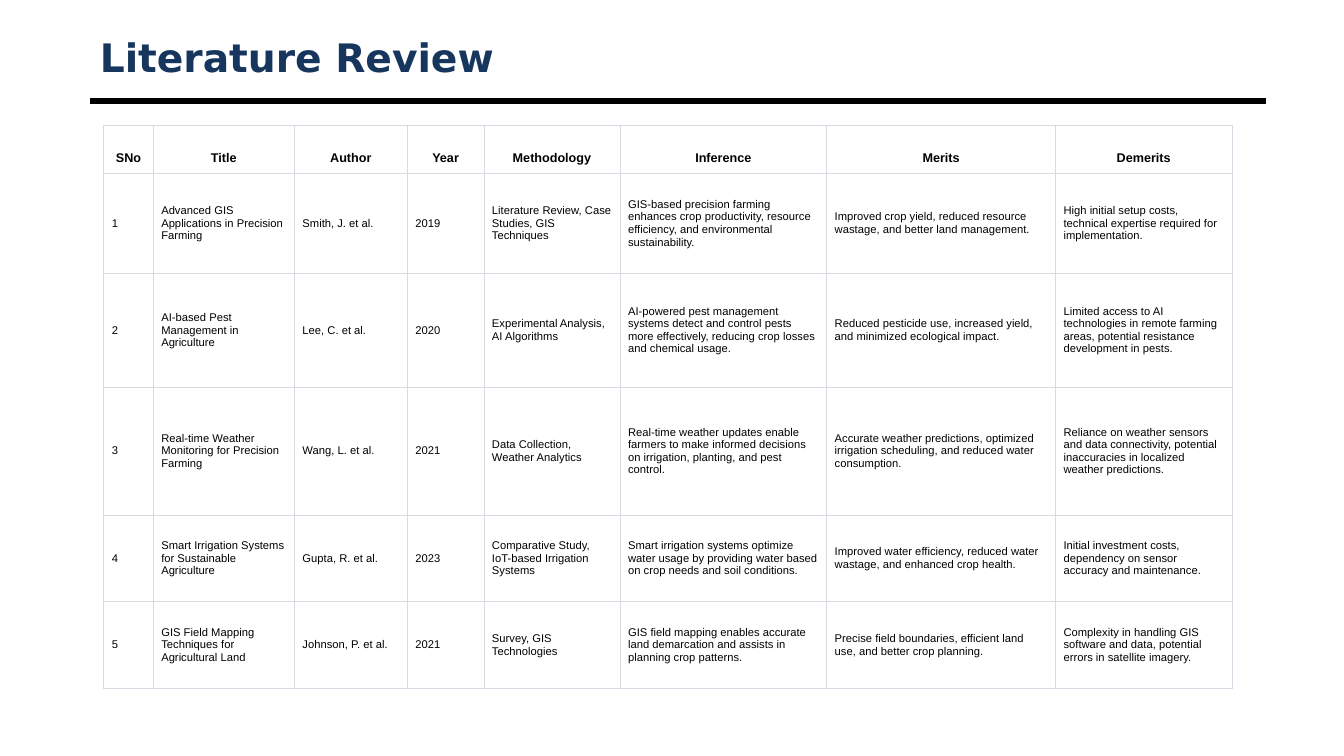
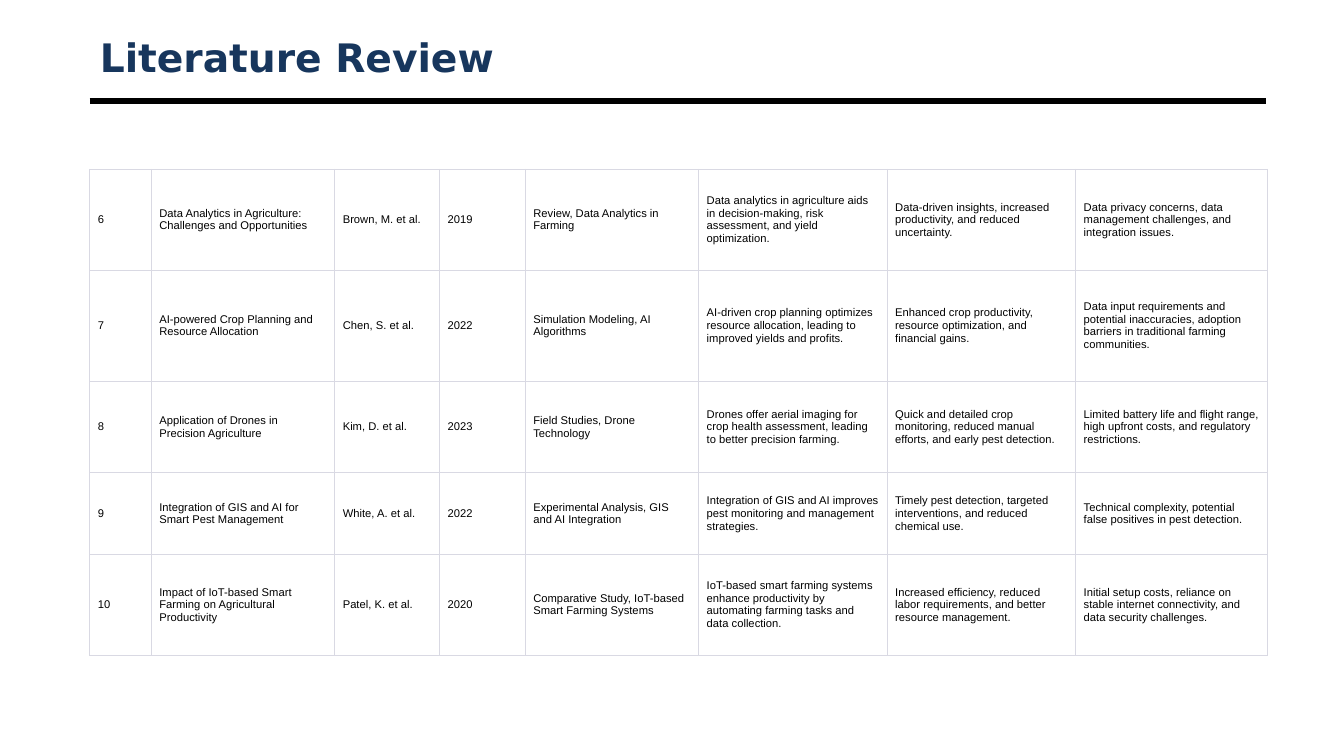
import dataclasses

import lxml.etree
import pptx
import pptx.dml.color
import pptx.enum.shapes
import pptx.enum.text
import pptx.oxml.ns
import pptx.util

Inches = pptx.util.Inches
Pt = pptx.util.Pt


def color(value):
    return pptx.dml.color.RGBColor.from_string(value)


@dataclasses.dataclass(frozen=True)
class Theme:
    title_font: str = "DejaVu Sans"
    body_font: str = "Arial"
    title_color: str = "17365D"
    ink: str = "000000"
    paper: str = "FFFFFF"
    border: str = "D9D9E3"
    title_size: float = 28
    header_size: float = 9
    body_size: float = 8
    rule_width: float = 4.5
    border_width: float = 0.6
    cell_inset: float = 0.08


THEME = Theme()
TITLE_BOX = (0.89, 0.3, 11.67, 0.53)
RULE_TOP = 1.0

HEADERS = ("SNo", "Title", "Author", "Year", "Methodology", "Inference", "Merits", "Demerits")

# Studies: title, author, year, methodology, inference, merits, demerits
STUDIES = [
    ("Advanced GIS Applications in Precision Farming", "Smith, J. et al.", "2019",
     "Literature Review, Case Studies, GIS Techniques",
     "GIS-based precision farming enhances crop productivity, resource efficiency, "
     "and environmental sustainability.",
     "Improved crop yield, reduced resource wastage, and better land management.",
     "High initial setup costs, technical expertise required for implementation."),
    ("AI-based Pest Management in Agriculture", "Lee, C. et al.", "2020",
     "Experimental Analysis, AI Algorithms",
     "AI-powered pest management systems detect and control pests more effectively, "
     "reducing crop losses and chemical usage.",
     "Reduced pesticide use, increased yield, and minimized ecological impact.",
     "Limited access to AI technologies in remote farming areas, "
     "potential resistance development in pests."),
    ("Real-time Weather Monitoring for Precision Farming", "Wang, L. et al.", "2021",
     "Data Collection, Weather Analytics",
     "Real-time weather updates enable farmers to make informed decisions on irrigation, "
     "planting, and pest control.",
     "Accurate weather predictions, optimized irrigation scheduling, "
     "and reduced water consumption.",
     "Reliance on weather sensors and data connectivity, "
     "potential inaccuracies in localized weather predictions."),
    ("Smart Irrigation Systems for Sustainable Agriculture", "Gupta, R. et al.", "2023",
     "Comparative Study, IoT-based Irrigation Systems",
     "Smart irrigation systems optimize water usage by providing water "
     "based on crop needs and soil conditions.",
     "Improved water efficiency, reduced water wastage, and enhanced crop health.",
     "Initial investment costs, dependency on sensor accuracy and maintenance."),
    ("GIS Field Mapping Techniques for Agricultural Land", "Johnson, P. et al.", "2021",
     "Survey, GIS Technologies",
     "GIS field mapping enables accurate land demarcation and assists in planning crop patterns.",
     "Precise field boundaries, efficient land use, and better crop planning.",
     "Complexity in handling GIS software and data, potential errors in satellite imagery."),
    ("Data Analytics in Agriculture: Challenges and Opportunities", "Brown, M. et al.", "2019",
     "Review, Data Analytics in Farming",
     "Data analytics in agriculture aids in decision-making, risk assessment, "
     "and yield optimization.",
     "Data-driven insights, increased productivity, and reduced uncertainty.",
     "Data privacy concerns, data management challenges, and integration issues."),
    ("AI-powered Crop Planning and Resource Allocation", "Chen, S. et al.", "2022",
     "Simulation Modeling, AI Algorithms",
     "AI-driven crop planning optimizes resource allocation, "
     "leading to improved yields and profits.",
     "Enhanced crop productivity, resource optimization, and financial gains.",
     "Data input requirements and potential inaccuracies, "
     "adoption barriers in traditional farming communities."),
    ("Application of Drones in Precision Agriculture", "Kim, D. et al.", "2023",
     "Field Studies, Drone Technology",
     "Drones offer aerial imaging for crop health assessment, "
     "leading to better precision farming.",
     "Quick and detailed crop monitoring, reduced manual efforts, and early pest detection.",
     "Limited battery life and flight range, high upfront costs, and regulatory restrictions."),
    ("Integration of GIS and AI for Smart Pest Management", "White, A. et al.", "2022",
     "Experimental Analysis, GIS and AI Integration",
     "Integration of GIS and AI improves pest monitoring and management strategies.",
     "Timely pest detection, targeted interventions, and reduced chemical use.",
     "Technical complexity, potential false positives in pest detection."),
    ("Impact of IoT-based Smart Farming on Agricultural Productivity", "Patel, K. et al.", "2020",
     "Comparative Study, IoT-based Smart Farming Systems",
     "IoT-based smart farming systems enhance productivity by automating farming tasks "
     "and data collection.",
     "Increased efficiency, reduced labor requirements, and better resource management.",
     "Initial setup costs, reliance on stable internet connectivity, "
     "and data security challenges."),
]
ROWS = [(str(number), *study) for number, study in enumerate(STUDIES, 1)]


def style_font(font, name, size, ink, bold):
    font.name, font.size, font.bold = name, Pt(size), bold
    font.color.rgb = color(ink)


def add_heading(page, box, text):
    """Title with the heavy rule below it."""
    left, top, width, height = box
    title = page.shapes.title
    title.left, title.top, title.width, title.height = map(Inches, box)
    frame = title.text_frame
    frame.text = text
    frame.word_wrap = True
    frame.auto_size = pptx.enum.text.MSO_AUTO_SIZE.NONE
    frame.vertical_anchor = pptx.enum.text.MSO_ANCHOR.MIDDLE
    para = frame.paragraphs[0]
    para.alignment = pptx.enum.text.PP_ALIGN.LEFT
    style_font(para.font, THEME.title_font, THEME.title_size, THEME.title_color, True)

    rule = page.shapes.add_connector(
        pptx.enum.shapes.MSO_CONNECTOR.STRAIGHT,
        Inches(left), Inches(RULE_TOP), Inches(left + width), Inches(RULE_TOP))
    rule.line.color.rgb = color(THEME.ink)
    rule.line.width = Pt(THEME.rule_width)
    lxml.etree.SubElement(rule._element.spPr, pptx.oxml.ns.qn("a:effectLst"))


def add_borders(cell):
    properties = cell._tc.get_or_add_tcPr()
    for side in ("a:lnL", "a:lnR", "a:lnT", "a:lnB"):
        line = lxml.etree.SubElement(
            properties, pptx.oxml.ns.qn(side), w=str(Pt(THEME.border_width)))
        fill = lxml.etree.SubElement(line, pptx.oxml.ns.qn("a:solidFill"))
        lxml.etree.SubElement(fill, pptx.oxml.ns.qn("a:srgbClr"), val=THEME.border)


def fill_cell(cell, text, is_header):
    cell.text = text
    cell.margin_left = cell.margin_right = Inches(THEME.cell_inset)
    cell.margin_top = cell.margin_bottom = Inches(THEME.cell_inset)
    # Borders come before the fill in the cell properties
    add_borders(cell)
    cell.fill.solid()
    cell.fill.fore_color.rgb = color(THEME.paper)

    anchors, aligns = pptx.enum.text.MSO_ANCHOR, pptx.enum.text.PP_ALIGN
    cell.vertical_anchor = anchors.BOTTOM if is_header else anchors.MIDDLE
    para = cell.text_frame.paragraphs[0]
    para.alignment = aligns.CENTER if is_header else aligns.LEFT
    size = THEME.header_size if is_header else THEME.body_size
    style_font(para.font, THEME.body_font, size, THEME.ink, is_header)


def add_study_table(page, left, top, widths, heights, rows):
    """Bordered grid; a row of column names is set as a header."""
    table = page.shapes.add_table(
        len(rows), len(widths), Inches(left), Inches(top),
        Inches(sum(widths)), Inches(sum(heights))).table
    table.first_row = rows[0] == HEADERS
    table.horz_banding = False
    for column, width in zip(table.columns, widths):
        column.width = Inches(width)
    for line, height, texts in zip(table.rows, heights, rows):
        line.height = Inches(height)
        for cell, text in zip(line.cells, texts):
            fill_cell(cell, text, texts == HEADERS)


def add_review_page(deck, left, top, widths, heights, rows):
    page = deck.slides.add_slide(deck.slide_layouts.get_by_name("Title Only"))
    add_heading(page, TITLE_BOX, "Literature Review")
    add_study_table(page, left, top, widths, heights, rows)


def main():
    deck = pptx.Presentation()
    deck.slide_width, deck.slide_height = Inches(13.33), Inches(7.5)

    # Studies 1 to 5, with column names
    add_review_page(
        deck, 1.03, 1.24,
        widths=(0.49, 1.4, 1.12, 0.76, 1.35, 2.05, 2.27, 1.75),
        heights=(0.48, 0.99, 1.13, 1.27, 0.86, 0.86),
        rows=[HEADERS, *ROWS[:5]])

    # Studies 6 to 10
    add_review_page(
        deck, 0.89, 1.68,
        widths=(0.61, 1.82, 1.04, 0.85, 1.72, 1.87, 1.87, 1.9),
        heights=(1, 1.1, 0.91, 0.81, 1),
        rows=ROWS[5:])

    deck.save("out.pptx")


if __name__ == "__main__":
    main()
